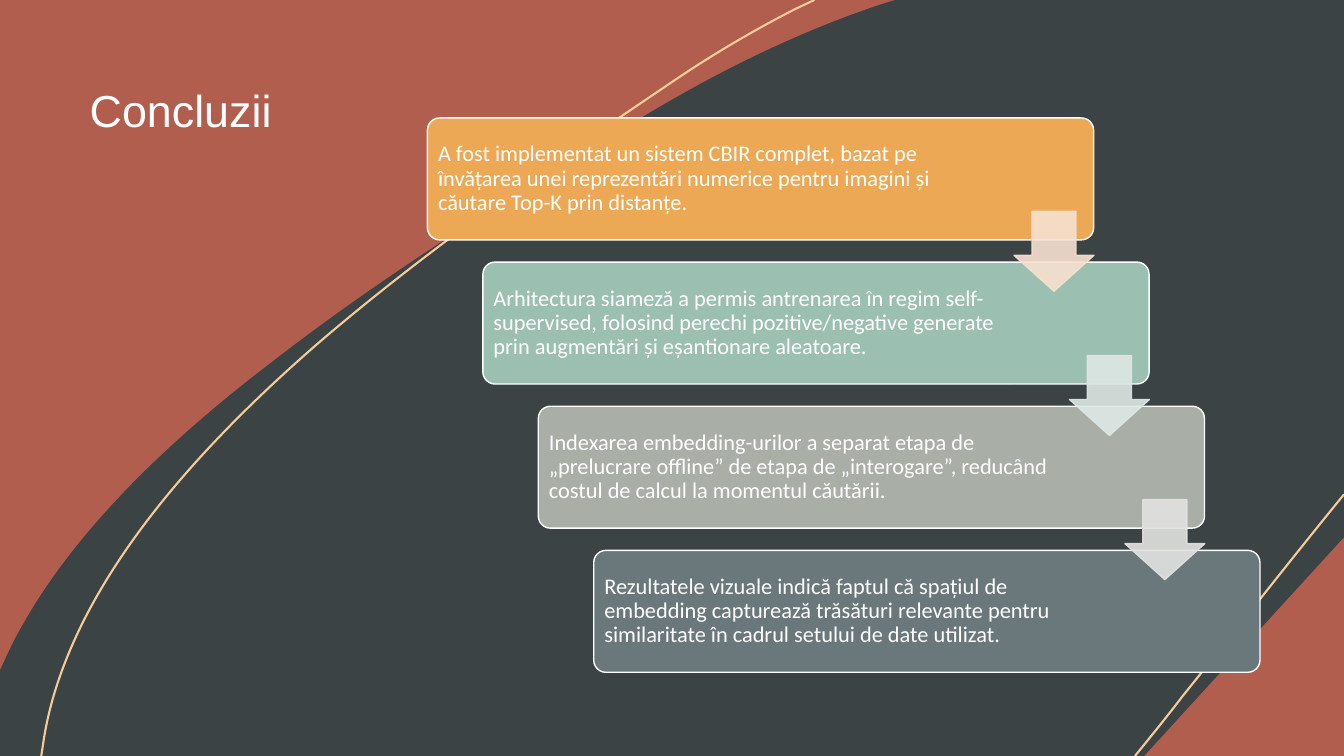
from dataclasses import dataclass

from lxml import etree
from pptx import Presentation, util as u
from pptx.dml.color import RGBColor
from pptx.enum import shapes as sh, text as tx
from pptx.oxml import ns

COLS, ROWS = 80, 45
CELL = u.Inches(1) // 6
Point = tuple[float, float]


@dataclass(frozen=True)
class Theme:
    rust: str = "B15E4E"
    slate: str = "3B4345"
    sand: str = "F4CB99"
    white: str = "FFFFFF"
    head: str = "Arial"
    body: str = "Calibri"
    large: int = 32
    small: int = 16


@dataclass(frozen=True)
class Box:
    left: float
    top: float
    width: float
    height: float

    def shift(self, index: int) -> "Box":
        """Move the box down the staircase by whole steps."""
        return Box(self.left + 3.3 * index, self.top + 8.58 * index,
                   self.width, self.height)

    def emu(self) -> list[int]:
        return [grid(n) for n in (self.left, self.top, self.width, self.height)]


@dataclass(frozen=True)
class Curve:
    """Each segment holds one point for a line or three for a Bézier."""
    start: Point
    segments: list[tuple[Point, ...]]
    fill: str = ""
    line: str = ""


@dataclass(frozen=True)
class Card:
    text: str
    fill: str
    arrow: str = ""


THEME = Theme()
TITLE = Box(4.74, 4.98, 20, 15)
CARD = Box(25.44, 7.02, 39.66, 7.26)
ARROW = Box(60.36, 12.58, 4.76, 4.76)

CURVES = [
    Curve((53.28, 0), [
        ((80, 0),), ((80, 31.98),), ((68.1, 45),), ((0, 45),),
        ((0, 39.96),), ((0, 39.9),),
        ((0.42, 39), (0.84, 38.04), (1.38, 37.14)),
        ((4.44, 31.74), (9.66, 26.52), (16.2, 21.54)),
        ((22.68, 16.5), (30.42, 11.64), (38.46, 6.84)),
        ((43.56, 3.78), (48.18, 1.68), (52.5, 0.24)),
    ], fill=THEME.slate),
    Curve((2.46, 45), [
        ((2.58, 44.22),),
        ((2.94, 41.76), (3.78, 39.36), (4.98, 36.96)),
        ((7.86, 31.26), (12.78, 25.8), (18.84, 20.52)),
        ((24.9, 15.3), (32.1, 10.2), (39.6, 5.16)),
        ((42.3, 3.3), (44.88, 1.8), (47.34, 0.54)),
        ((48.48, 0),),
    ], line=THEME.sand),
    Curve((80, 29.46), [
        ((79.98, 29.46),),
        ((76.8, 33.36), (73.62, 37.44), (70.38, 41.46)),
        ((69.48, 42.66), (67.56, 45), (67.56, 45)),
    ], line=THEME.sand),
]

CARDS = [
    Card("A fost implementat un sistem CBIR complet, bazat pe învățarea unei "
         "reprezentări numerice pentru imagini și căutare Top-K prin distanțe.",
         "ECA855", "F8E1D1"),
    Card("Arhitectura siameză a permis antrenarea în regim self-supervised, "
         "folosind perechi pozitive/negative generate prin augmentări și "
         "eșantionare aleatoare.", "9BBFB0", "DEE8E4"),
    Card("Indexarea embedding-urilor a separat etapa de „prelucrare offline” "
         "de etapa de „interogare”, reducând costul de calcul la momentul "
         "căutării.", "A9AEA7", "E2E3E1"),
    Card("Rezultatele vizuale indică faptul că spațiul de embedding capturează "
         "trăsături relevante pentru similaritate în cadrul setului de date "
         "utilizat.", "6A787C"),
]


def grid(cells: float) -> int:
    return round(cells * CELL)


def paint(shape, fill: str, line: str, width: float = 1) -> None:
    """Set fill and line; an empty colour means none."""
    shape.shadow.inherit = False
    for part, color in ((shape.fill, fill), (shape.line.fill, line)):
        if color:
            part.solid()
            part.fore_color.rgb = RGBColor.from_string(color)
        else:
            part.background()
    if line:
        shape.line.width = u.Pt(width)


def fade(shape, share: int) -> None:
    """Give fill and line an opacity in percent."""
    for color in shape._element.spPr.iter(ns.qn("a:srgbClr")):
        etree.SubElement(color, ns.qn("a:alpha"), val=str(share * 1000))


def write(frame, text: str, font: str, size: int) -> None:
    para = frame.paragraphs[0]
    para.alignment = tx.PP_ALIGN.LEFT
    para.line_spacing = 0.9
    run = para.add_run()
    run.text = text
    run.font.name = font
    run.font.size = u.Pt(size)
    run.font.color.rgb = RGBColor.from_string(THEME.white)


def bend(shape, segments: list[tuple[Point, ...]]) -> None:
    """Turn straight segments with control points into Bézier curves."""
    nodes = list(shape._element.spPr.iter(ns.qn("a:lnTo")))
    for node, (*controls, _) in zip(nodes, segments):
        if not controls:
            continue
        node.tag = ns.qn("a:cubicBezTo")
        for index, (x, y) in enumerate(controls):
            node.insert(index, etree.Element(
                ns.qn("a:pt"), x=str(grid(x) - shape.left),
                y=str(grid(y) - shape.top)))


def draw_curve(slide, curve: Curve) -> None:
    form = slide.shapes.build_freeform(*map(grid, curve.start))
    ends = [(grid(x), grid(y)) for *_, (x, y) in curve.segments]
    form.add_line_segments(ends, close=bool(curve.fill))
    shape = form.convert_to_shape()
    bend(shape, curve.segments)
    paint(shape, curve.fill, curve.line, 1.5)


def draw_card(slide, card: Card, box: Box) -> None:
    shape = slide.shapes.add_shape(sh.MSO_SHAPE.ROUNDED_RECTANGLE, *box.emu())
    shape.adjustments[0] = 0.1
    paint(shape, card.fill, THEME.white)
    frame = shape.text_frame
    frame.word_wrap = True
    frame.vertical_anchor = tx.MSO_ANCHOR.MIDDLE
    frame.margin_left = frame.margin_top = frame.margin_bottom = grid(0.42)
    frame.margin_right = grid(8.4)
    write(frame, card.text, THEME.body, THEME.small)


def draw_arrow(slide, color: str, box: Box) -> None:
    shape = slide.shapes.add_shape(sh.MSO_SHAPE.DOWN_ARROW, *box.emu())
    shape.adjustments[0] = 0.55
    shape.adjustments[1] = 0.45
    paint(shape, color, color)
    fade(shape, 90)


def main() -> None:
    deck = Presentation()
    deck.slide_width, deck.slide_height = grid(COLS), grid(ROWS)
    slide = deck.slides.add_slide(deck.slide_layouts[5])
    back = slide.background.fill
    back.solid()
    back.fore_color.rgb = RGBColor.from_string(THEME.rust)
    for curve in CURVES:
        draw_curve(slide, curve)
    title = slide.shapes.title
    title.left, title.top, title.width, title.height = TITLE.emu()
    title.text_frame.vertical_anchor = tx.MSO_ANCHOR.TOP
    write(title.text_frame, "Concluzii", THEME.head, THEME.large)
    for index, card in enumerate(CARDS):
        draw_card(slide, card, CARD.shift(index))
    for index, card in enumerate(CARDS):
        if card.arrow:
            draw_arrow(slide, card.arrow, ARROW.shift(index))
    deck.save("out.pptx")


if __name__ == "__main__":
    main()
